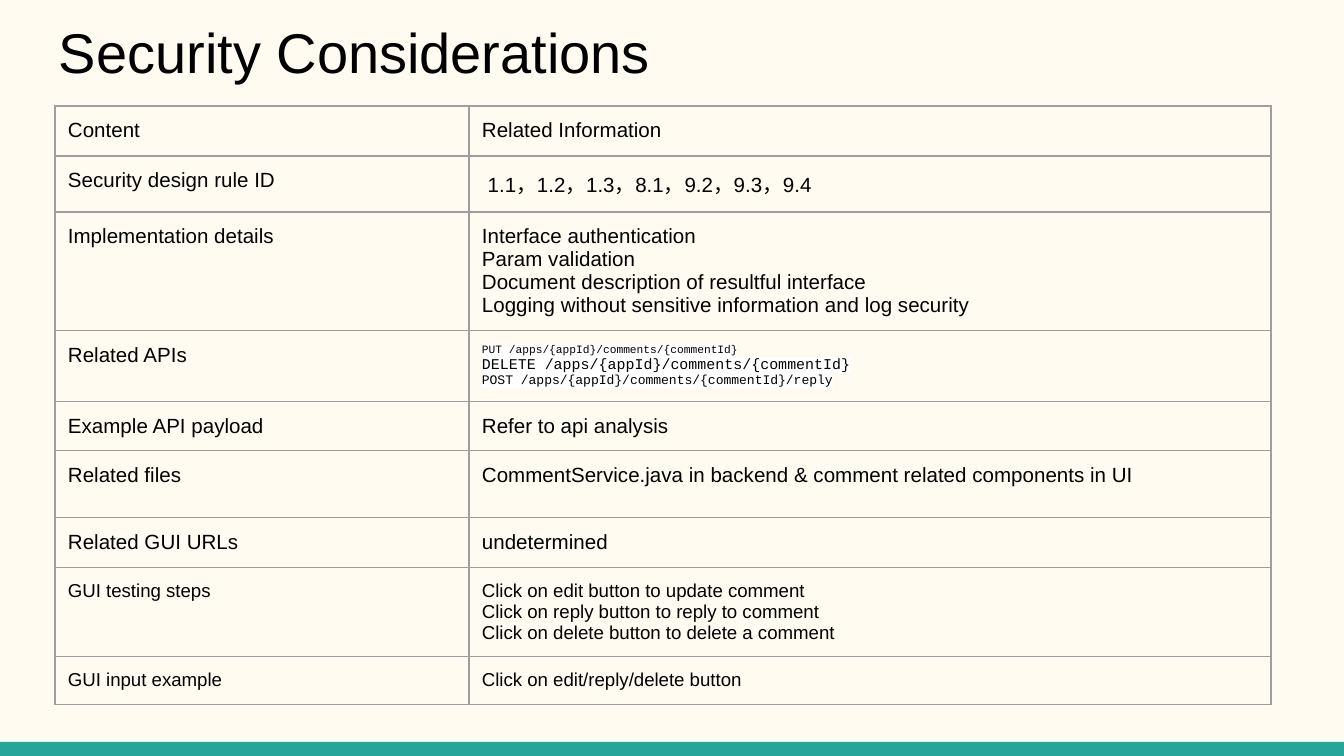
from lxml import etree
from pptx import Presentation
from pptx.dml.color import RGBColor
from pptx.enum.shapes import MSO_SHAPE
from pptx.enum.text import MSO_ANCHOR, MSO_AUTO_SIZE, PP_ALIGN
from pptx.oxml.ns import qn
from pptx.util import Emu, Pt

RECTANGLE = MSO_SHAPE.RECTANGLE
TOP = MSO_ANCHOR.TOP
LEFT = PP_ALIGN.LEFT
NO_AUTOFIT = MSO_AUTO_SIZE.NONE

EMU_PER_PX = 914400 / 134.4
SLIDE_WIDTH, SLIDE_HEIGHT = 1344, 756
TITLE_LAYOUT = 5

CREAM = RGBColor(0xFF, 0xFB, 0xF0)
TEAL = RGBColor(0x26, 0xA6, 0x9A)
BLACK = RGBColor(0x00, 0x00, 0x00)
WHITE = RGBColor(0xFF, 0xFF, 0xFF)
GRAY = RGBColor(0x9E, 0x9E, 0x9E)

BODY_FONT, CODE_FONT = "Arial", "Courier New"
BORDER_WIDTH = Pt(0.75)
CELL_MARGIN = 13

COLUMN_WIDTHS = [414, 802]
# Row height, text size, label, lines of information
ROWS = [
    (50, 11, "Content", ["Related Information"]),
    (56, 11, "Security design rule ID", [" 1.1，1.2，1.3，8.1，9.2，9.3，9.4"]),
    (119, 11, "Implementation details", [
        "Interface authentication",
        "Param validation",
        "Document description of resultful interface",
        "Logging without sensitive information and log security",
    ]),
    (71, 11, "Related APIs", [
        ("PUT /apps/{appId}/comments/{commentId}", 6),
        ("DELETE /apps/{appId}/comments/{commentId}", 8),
        ("POST /apps/{appId}/comments/{commentId}/reply", 7),
    ]),
    (49, 11, "Example API payload", ["Refer to api analysis"]),
    (67, 11, "Related files",
     ["CommentService.java in backend & comment related components in UI"]),
    (50, 11, "Related GUI URLs", ["undetermined"]),
    (89, 10, "GUI testing steps", [
        "Click on edit button to update comment",
        "Click on reply button to reply to comment",
        "Click on delete button to delete a comment",
    ]),
    (48, 10, "GUI input example", ["Click on edit/reply/delete button"]),
]


def px(length):
    return Emu(round(length * EMU_PER_PX))


def set_attributes(target, values):
    for name, value in values.items():
        setattr(target, name, value)


def add_color(parent, tag, color):
    """Append a DrawingML element that holds one RGB colour."""
    element = etree.SubElement(parent, qn(tag))
    etree.SubElement(element, qn("a:srgbClr"), val=str(color))


def add_run(paragraph, text, size, font=BODY_FONT, highlight=None):
    run = paragraph.add_run()
    run.text = text
    run.font.color.rgb = BLACK
    if highlight is not None:
        add_color(run.font._element, "a:highlight", highlight)
    set_attributes(run.font, {"size": Pt(size), "name": font, "bold": False})


def add_title(slide, text):
    title = slide.shapes.title
    set_attributes(title, {
        "left": px(46), "top": px(0), "width": px(1253), "height": px(90),
    })
    set_attributes(title.text_frame, {
        "margin_left": px(13), "margin_right": px(13),
        "margin_top": px(18), "margin_bottom": px(8),
        "vertical_anchor": TOP, "word_wrap": True, "auto_size": NO_AUTOFIT,
    })
    paragraph = title.text_frame.paragraphs[0]
    paragraph.alignment = LEFT
    add_run(paragraph, text, 30)


def add_footer_bar(slide):
    bar = slide.shapes.add_shape(
        RECTANGLE, px(0), px(742), px(SLIDE_WIDTH), px(14))
    bar.shadow.inherit = False
    bar.fill.solid()
    bar.fill.fore_color.rgb = TEAL
    bar.line.fill.background()


def format_cell(cell):
    """Give the cell even margins, gray borders and no fill."""
    set_attributes(cell, {
        f"margin_{side}": px(CELL_MARGIN)
        for side in ("left", "right", "top", "bottom")
    })
    cell.vertical_anchor = TOP
    properties = cell._tc.get_or_add_tcPr()
    for tag in ("a:lnL", "a:lnR", "a:lnT", "a:lnB"):
        line = etree.SubElement(properties, qn(tag), w=str(BORDER_WIDTH))
        add_color(line, "a:solidFill", GRAY)
    cell.fill.background()


def fill_cell(cell, lines, size):
    """Write one paragraph a line; a (text, size) pair is a line of code."""
    format_cell(cell)
    frame = cell.text_frame
    for index, line in enumerate(lines):
        paragraph = frame.add_paragraph() if index else frame.paragraphs[0]
        paragraph.alignment = LEFT
        if isinstance(line, tuple):
            add_run(paragraph, *line, font=CODE_FONT, highlight=WHITE)
        else:
            add_run(paragraph, line, size)


def add_security_table(slide):
    height = sum(row[0] for row in ROWS)
    table = slide.shapes.add_table(
        len(ROWS), len(COLUMN_WIDTHS), px(55), px(106),
        px(sum(COLUMN_WIDTHS)), px(height)).table
    set_attributes(table, {"first_row": False, "horz_banding": False})
    for column, width in zip(table.columns, COLUMN_WIDTHS):
        column.width = px(width)
    for row, (row_height, size, label, lines) in zip(table.rows, ROWS):
        row.height = px(row_height)
        fill_cell(row.cells[0], [label], size)
        fill_cell(row.cells[1], lines, size)


def main():
    presentation = Presentation()
    set_attributes(presentation, {
        "slide_width": px(SLIDE_WIDTH), "slide_height": px(SLIDE_HEIGHT),
    })
    slide = presentation.slides.add_slide(
        presentation.slide_layouts[TITLE_LAYOUT])
    slide.background.fill.solid()
    slide.background.fill.fore_color.rgb = CREAM
    add_footer_bar(slide)
    add_title(slide, "Security Considerations")
    add_security_table(slide)
    presentation.save("out.pptx")


if __name__ == "__main__":
    main()
